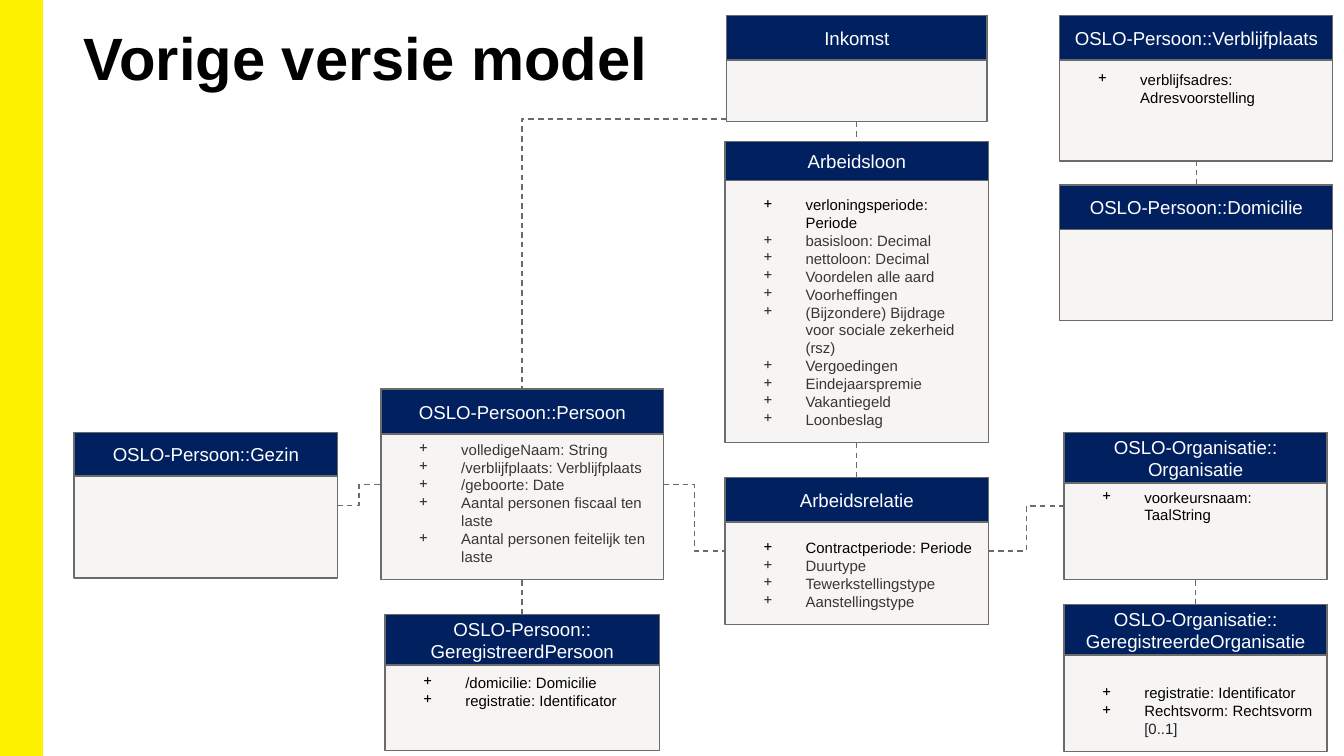
"""Build the class diagram slide of the previous model version."""
import dataclasses
import typing

import lxml.etree
import pptx
import pptx.dml.color
import pptx.enum.dml
import pptx.enum.shapes
import pptx.enum.text
import pptx.oxml.ns
import pptx.util

EMU_PER_PX = 9525
BLACK, GREY, SOFT_BLACK, WHITE = "000000", "373636", "202124", "FFFFFF"
NAVY, PALE, BORDER, YELLOW = "002060", "F6F5F3", "6B6B6B", "FFF200"
TOP, LEFT, BOTTOM, RIGHT = range(4)
ELBOW = pptx.enum.shapes.MSO_CONNECTOR.ELBOW
STRAIGHT = pptx.enum.shapes.MSO_CONNECTOR.STRAIGHT
MIDDLE = pptx.enum.text.MSO_ANCHOR.MIDDLE
LOWER = pptx.enum.text.MSO_ANCHOR.BOTTOM


@dataclasses.dataclass(frozen=True)
class UmlClass:
    """A class box with a header and its attributes."""
    name: str
    left: int
    top: int
    width: int
    height: int
    header: int = 32
    black: tuple[str, ...] = ()
    grey: tuple[str, ...] = ()
    multiplicity: str = ""
    anchor: typing.Any = LOWER
    top_inset: int = 10


class Link(typing.NamedTuple):
    """A dashed association between the sides of two classes."""
    start: str
    start_side: int
    end: str
    end_side: int
    kind: typing.Any = STRAIGHT


CLASSES = {
    "gezin": UmlClass("OSLO-Persoon::Gezin", 53, 309, 188, 104, 31),
    "persoon": UmlClass(
        "OSLO-Persoon::Persoon", 272, 278, 202, 136,
        grey=("volledigeNaam: String", "/verblijfplaats: Verblijfplaats", "/geboorte: Date",
              "Aantal personen fiscaal ten laste", "Aantal personen feitelijk ten laste")),
    "arbeidsrelatie": UmlClass(
        "Arbeidsrelatie", 518, 341, 188, 105,
        black=("Contractperiode: Periode",),
        grey=("Duurtype", "Tewerkstellingstype", "Aanstellingstype")),
    "arbeidsloon": UmlClass(
        "Arbeidsloon", 518, 101, 188, 215, 28,
        black=("verloningsperiode: Periode",),
        grey=("basisloon: Decimal", "nettoloon: Decimal", "Voordelen alle aard",
              "Voorheffingen", "(Bijzondere) Bijdrage voor sociale zekerheid (rsz)",
              "Vergoedingen", "Eindejaarspremie", "Vakantiegeld", "Loonbeslag")),
    "organisatie": UmlClass(
        "OSLO-Organisatie::\nOrganisatie", 760, 309, 188, 105, 36,
        black=("voorkeursnaam: TaalString",), anchor=MIDDLE),
    "inkomst": UmlClass("Inkomst", 519, 11, 186, 76),
    "geregistreerd_persoon": UmlClass(
        "OSLO-Persoon::\nGeregistreerdPersoon", 275, 439, 196, 97, 36,
        black=("/domicilie: Domicilie", "registratie: Identificator"),
        anchor=MIDDLE, top_inset=23),
    "geregistreerde_organisatie": UmlClass(
        "OSLO-Organisatie::\nGeregistreerdeOrganisatie", 760, 432, 188, 105, 36,
        black=("registratie: Identificator", "Rechtsvorm: Rechtsvorm "),
        multiplicity="[0..1]"),
    "domicilie": UmlClass("OSLO-Persoon::Domicilie", 757, 132, 195, 97),
    "verblijfplaats": UmlClass(
        "OSLO-Persoon::Verblijfplaats", 757, 11, 195, 104,
        black=("verblijfsadres: Adresvoorstelling",), anchor=MIDDLE),
}

LINKS = (
    Link("gezin", RIGHT, "persoon", LEFT, ELBOW),
    Link("persoon", RIGHT, "arbeidsrelatie", LEFT, ELBOW),
    Link("arbeidsrelatie", RIGHT, "organisatie", LEFT, ELBOW),
    Link("arbeidsrelatie", TOP, "arbeidsloon", BOTTOM),
    Link("inkomst", BOTTOM, "arbeidsloon", TOP),
    Link("geregistreerd_persoon", TOP, "persoon", BOTTOM),
    Link("geregistreerde_organisatie", TOP, "organisatie", BOTTOM),
    Link("domicilie", TOP, "verblijfplaats", BOTTOM),
)


def px(length: int) -> pptx.util.Emu:
    """Turn px into EMU."""
    return pptx.util.Emu(length * EMU_PER_PX)


def rgb(color: str) -> pptx.dml.color.RGBColor:
    """Turn a hex string into a colour."""
    return pptx.dml.color.RGBColor.from_string(color)


def format_runs(paragraph, size: int, color: str, bold: bool = False) -> None:
    """Format all runs of a paragraph."""
    for run in paragraph.runs:
        run.font.name = "Arial"
        run.font.size = pptx.util.Pt(size)
        run.font.bold = bold
        run.font.color.rgb = rgb(color)


def draw_rectangle(slide, left: int, top: int, width: int, height: int,
                   fill: str, line: str, weight: float = 0.75):
    """Draw a filled rectangle with a border."""
    shape = slide.shapes.add_shape(pptx.enum.shapes.MSO_SHAPE.RECTANGLE,
                                   px(left), px(top), px(width), px(height))
    shape.shadow.inherit = False
    shape.fill.solid()
    shape.fill.fore_color.rgb = rgb(fill)
    shape.line.color.rgb = rgb(line)
    shape.line.width = pptx.util.Pt(weight)
    return shape


def write_attributes(text_frame, uml_class: UmlClass) -> None:
    """Write the attributes as a list with plus bullets."""
    text_frame.word_wrap = True
    text_frame.vertical_anchor = uml_class.anchor
    text_frame.margin_top, text_frame.margin_bottom = px(uml_class.top_inset), px(10)
    text_frame.text = "\n".join(uml_class.black + uml_class.grey)
    for index, paragraph in enumerate(text_frame.paragraphs):
        paragraph.alignment = pptx.enum.text.PP_ALIGN.LEFT
        properties = paragraph._p.get_or_add_pPr()
        properties.set("marL", str(px(48)))
        properties.set("indent", str(px(-30)))
        bullet = lxml.etree.SubElement(properties, pptx.oxml.ns.qn("a:buChar"))
        bullet.set("char", "+")
        format_runs(paragraph, 8, BLACK if index < len(uml_class.black) else GREY)
    if uml_class.multiplicity:
        run = text_frame.paragraphs[-1].add_run()
        run.text = uml_class.multiplicity
        run.font.name = "Arial"
        run.font.size = pptx.util.Pt(8)
        run.font.color.rgb = rgb(SOFT_BLACK)


def draw_class(slide, uml_class: UmlClass):
    """Draw a class box and return its body."""
    left, top, width = uml_class.left, uml_class.top, uml_class.width
    body = draw_rectangle(slide, left, top, width, uml_class.height, PALE, BORDER)
    if uml_class.black or uml_class.grey:
        write_attributes(body.text_frame, uml_class)
    header = draw_rectangle(slide, left, top, width, uml_class.header, NAVY, BORDER)
    header.text_frame.word_wrap = True
    header.text_frame.vertical_anchor = MIDDLE
    header.text_frame.text = uml_class.name
    for paragraph in header.text_frame.paragraphs:
        paragraph.alignment = pptx.enum.text.PP_ALIGN.CENTER
        format_runs(paragraph, 10, WHITE)
    return body


def draw_connector(slide, kind, left: int = 0, top: int = 0):
    """Draw a dashed connector that starts at the given point."""
    connector = slide.shapes.add_connector(kind, px(left), px(top), px(left), px(top))
    connector.line.color.rgb = rgb(BORDER)
    connector.line.width = pptx.util.Pt(0.75)
    connector.line.dash_style = pptx.enum.dml.MSO_LINE.DASH
    lxml.etree.SubElement(connector._element.spPr, pptx.oxml.ns.qn("a:effectLst"))
    return connector


def draw_title(slide, text: str) -> None:
    """Draw the slide title."""
    title = slide.shapes.add_textbox(px(53), px(11), px(483), px(78))
    title.line.color.rgb = rgb(WHITE)
    title.line.width = pptx.util.Pt(0.75)
    text_frame = title.text_frame
    text_frame.word_wrap = True
    text_frame.margin_left = text_frame.margin_right = px(7)
    text_frame.margin_top = text_frame.margin_bottom = px(4)
    text_frame.text = text
    format_runs(text_frame.paragraphs[0], 32, BLACK, bold=True)


def main() -> None:
    """Build and save the presentation."""
    presentation = pptx.Presentation()
    presentation.slide_width, presentation.slide_height = px(960), px(540)
    slide = presentation.slides.add_slide(presentation.slide_layouts[6])
    draw_rectangle(slide, 0, 0, 30, 540, YELLOW, YELLOW, 1)
    draw_title(slide, "Vorige versie model")
    bodies = {key: draw_class(slide, uml_class) for key, uml_class in CLASSES.items()}
    for link in LINKS:
        connector = draw_connector(slide, link.kind)
        connector.begin_connect(bodies[link.start], link.start_side)
        connector.end_connect(bodies[link.end], link.end_side)
    income_link = draw_connector(slide, ELBOW, 519, 85)
    income_link.end_connect(bodies["persoon"], TOP)
    geometry = income_link._element.spPr.find(pptx.oxml.ns.qn("a:prstGeom"))
    guides = geometry.get_or_add_avLst()
    lxml.etree.SubElement(guides, pptx.oxml.ns.qn("a:gd"), name="adj1", fmla="val 100000")
    presentation.save("out.pptx")


if __name__ == "__main__":
    main()
